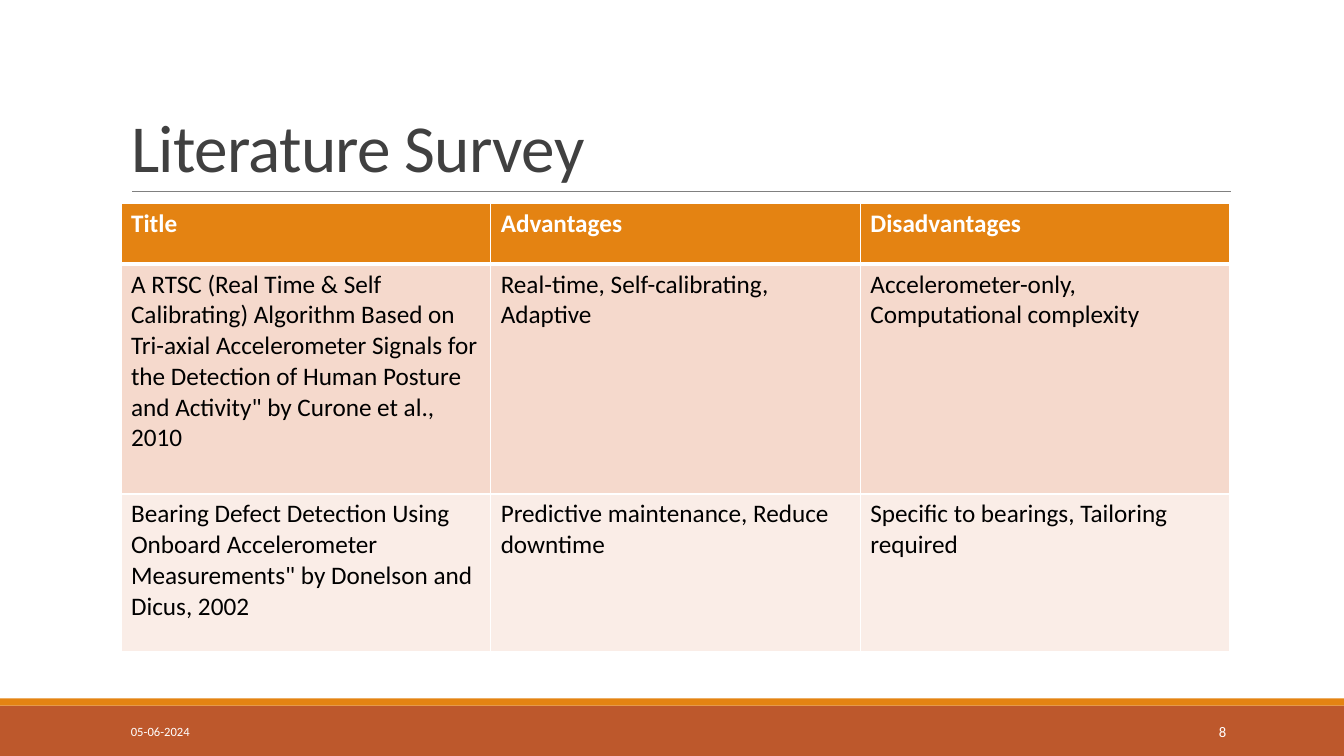
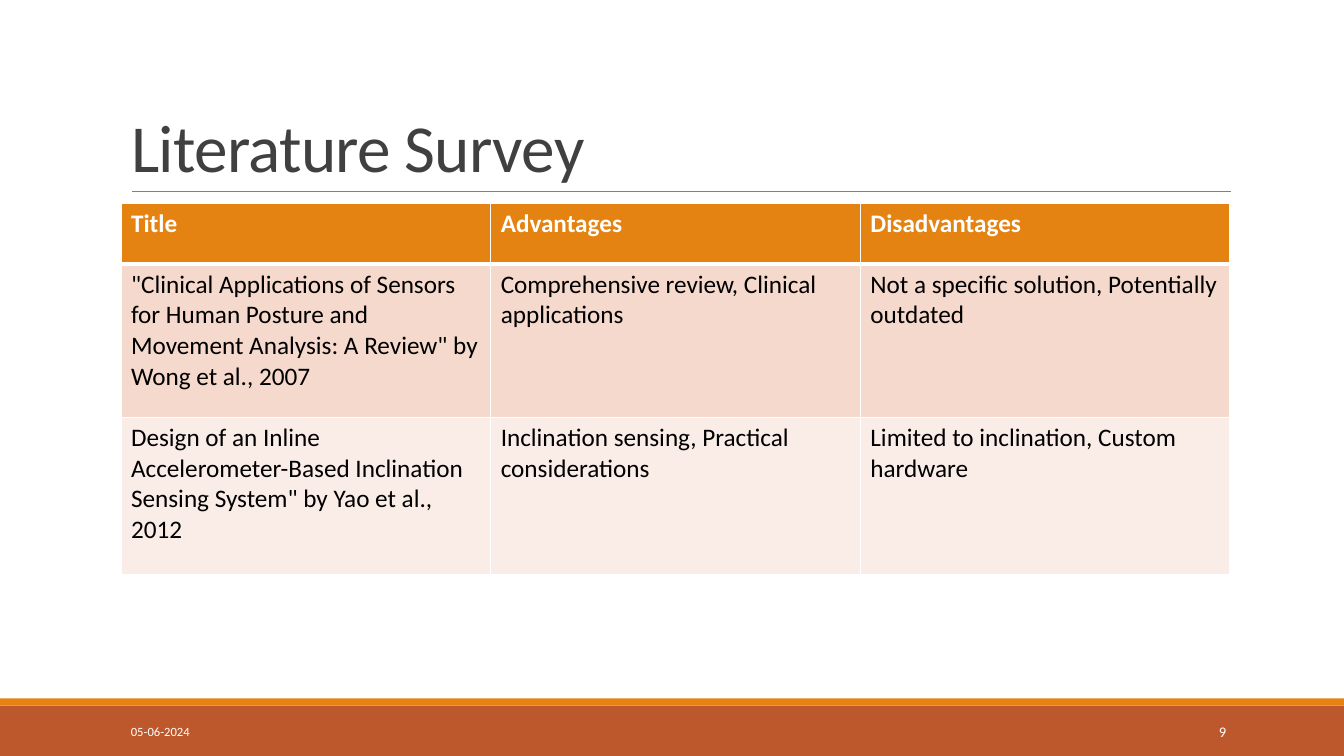
from dataclasses import dataclass

from lxml.etree import SubElement
from pptx import Presentation
from pptx.dml.color import RGBColor
from pptx.enum.shapes import MSO_CONNECTOR, MSO_SHAPE
from pptx.enum.text import MSO_ANCHOR, MSO_AUTO_SIZE, PP_ALIGN
from pptx.oxml.ns import qn
from pptx.slide import Slide
from pptx.table import _Cell
from pptx.text.text import TextFrame
from pptx.util import Inches, Pt


@dataclass(frozen=True)
class Theme:
    font: str = "Calibri"
    white: str = "FFFFFF"
    black: str = "000000"
    title_color: str = "404040"
    rule_color: str = "808080"
    footer_color: str = "BD582C"
    accent: str = "E48312"
    row_fills: tuple[str, ...] = ("F5D9CC", "FAEDE7")
    title_size: float = 48
    table_size: float = 18
    date_size: float = 9
    number_size: float = 10.5
    thin_border: float = 1
    header_border: float = 3


@dataclass(frozen=True)
class Box:
    left: float
    top: float
    width: float
    height: float

    def lengths(self) -> tuple[int, int, int, int]:
        return (Inches(self.left), Inches(self.top),
                Inches(self.width), Inches(self.height))


@dataclass(frozen=True)
class Paper:
    title: str
    advantages: str
    disadvantages: str
    row_height: float

    def texts(self) -> tuple[str, str, str]:
        return self.title, self.advantages, self.disadvantages


@dataclass(frozen=True)
class SurveySlide:
    number: int
    papers: tuple[Paper, ...]


THEME = Theme()
SLIDE_WIDTH, SLIDE_HEIGHT = 13.33, 7.5
MARGIN, CONTENT_WIDTH = 1.2, 11
TITLE_ONLY_LAYOUT = 5
FOOTER_HEIGHT, STRIPE_HEIGHT = 0.5, 0.07
FOOTER_TOP = SLIDE_HEIGHT - FOOTER_HEIGHT

TITLE_BOX = Box(MARGIN, 0.31, CONTENT_WIDTH, 1.59)
RULE_LEFT, RULE_RIGHT, RULE_TOP = 1.31, 12.21, 1.9
DATE_BOX = Box(MARGIN, 7.06, 2.7, 0.4)
NUMBER_BOX = Box(10.83, 7.06, 1.43, 0.4)
TABLE_TOP, HEADER_HEIGHT = 2.02, 0.6

SURVEY_TITLE = "Literature Survey"
SURVEY_DATE = "05-06-2024"
HEADERS = ("Title", "Advantages", "Disadvantages")
SURVEY_SLIDES = (
    SurveySlide(8, (
        Paper("A RTSC (Real Time & Self Calibrating) Algorithm Based on "
              "Tri-axial Accelerometer Signals for the Detection of Human "
              'Posture and Activity" by Curone et al., 2010',
              "Real-time, Self-calibrating, Adaptive",
              "Accelerometer-only, Computational complexity", 2.28),
        Paper("Bearing Defect Detection Using Onboard Accelerometer "
              'Measurements" by Donelson and Dicus, 2002',
              "Predictive maintenance, Reduce downtime",
              "Specific to bearings, Tailoring required", 1.56),
    )),
    SurveySlide(9, (
        Paper('"Clinical Applications of Sensors for Human Posture and '
              'Movement Analysis: A Review" by Wong et al., 2007',
              "Comprehensive review, Clinical applications",
              "Not a specific solution, Potentially outdated", 1.52),
        Paper("Design of an Inline Accelerometer-Based Inclination Sensing "
              'System" by Yao et al., 2012',
              "Inclination sensing, Practical considerations",
              "Limited to inclination, Custom hardware", 1.56),
    )),
)


def color(value: str) -> RGBColor:
    return RGBColor.from_string(value)


def write_text(frame: TextFrame, text: str, *, size: float, text_color: str,
               bold: bool = False, align: PP_ALIGN = PP_ALIGN.LEFT,
               line_spacing: float | None = None,
               letter_spacing: float | None = None) -> None:
    paragraph = frame.paragraphs[0]
    paragraph.alignment = align
    if line_spacing is not None:
        paragraph.line_spacing = line_spacing
    run = paragraph.add_run()
    run.text = text
    run.font.name = THEME.font
    run.font.size = Pt(size)
    run.font.bold = bold
    run.font.color.rgb = color(text_color)
    if letter_spacing is not None:
        run.font._element.set("spc", str(round(letter_spacing * 100)))


def add_band(slide: Slide, top: float, height: float, fill: str) -> None:
    box = Box(0, top, SLIDE_WIDTH, height)
    band = slide.shapes.add_shape(MSO_SHAPE.RECTANGLE, *box.lengths())
    band.shadow.inherit = False
    band.fill.solid()
    band.fill.fore_color.rgb = color(fill)
    band.line.fill.background()


def add_title_rule(slide: Slide) -> None:
    rule = slide.shapes.add_connector(
        MSO_CONNECTOR.STRAIGHT, Inches(RULE_LEFT), Inches(RULE_TOP),
        Inches(RULE_RIGHT), Inches(RULE_TOP))
    rule.line.color.rgb = color(THEME.rule_color)
    rule.line.width = Pt(0.5)
    SubElement(rule._element.spPr, qn("a:effectLst"))


def format_title(slide: Slide, text: str) -> None:
    title = slide.shapes.title
    title.left, title.top, title.width, title.height = TITLE_BOX.lengths()
    frame = title.text_frame
    frame.auto_size = MSO_AUTO_SIZE.NONE
    frame.word_wrap = True
    frame.vertical_anchor = MSO_ANCHOR.BOTTOM
    write_text(frame, text, size=THEME.title_size,
               text_color=THEME.title_color,
               line_spacing=0.85, letter_spacing=-0.5)


def add_footer_text(slide: Slide, box: Box, text: str, size: float,
                    align: PP_ALIGN = PP_ALIGN.LEFT) -> None:
    frame = slide.shapes.add_textbox(*box.lengths()).text_frame
    frame.word_wrap = True
    frame.vertical_anchor = MSO_ANCHOR.MIDDLE
    write_text(frame, text, size=size, text_color=THEME.white, align=align)


def add_borders(cell: _Cell, top: float, bottom: float) -> None:
    properties = cell._tc.get_or_add_tcPr()
    widths = {"a:lnL": THEME.thin_border, "a:lnR": THEME.thin_border,
              "a:lnT": top, "a:lnB": bottom}
    for tag, width in widths.items():
        line = SubElement(properties, qn(tag), w=str(Pt(width)))
        fill = SubElement(line, qn("a:solidFill"))
        SubElement(fill, qn("a:srgbClr"), val=THEME.white)


def format_cell(cell: _Cell, text: str, row: int) -> None:
    """Style a cell by its row: row 0 is the header, the others alternate."""
    is_header = row == 0
    add_borders(
        cell,
        top=THEME.header_border if row == 1 else THEME.thin_border,
        bottom=THEME.header_border if is_header else THEME.thin_border)
    row_fill = THEME.row_fills[(row - 1) % len(THEME.row_fills)]
    cell.fill.solid()
    cell.fill.fore_color.rgb = color(THEME.accent if is_header else row_fill)
    write_text(cell.text_frame, text, size=THEME.table_size, bold=is_header,
               text_color=THEME.white if is_header else THEME.black)


def add_survey_table(slide: Slide, papers: tuple[Paper, ...]) -> None:
    heights = [HEADER_HEIGHT, *(paper.row_height for paper in papers)]
    rows = [HEADERS, *(paper.texts() for paper in papers)]
    box = Box(MARGIN, TABLE_TOP, CONTENT_WIDTH, sum(heights))
    table = slide.shapes.add_table(
        len(rows), len(HEADERS), *box.lengths()).table
    for column in table.columns:
        column.width = Inches(CONTENT_WIDTH / len(HEADERS))
    for row, (height, texts) in enumerate(zip(heights, rows)):
        table.rows[row].height = Inches(height)
        for column, text in enumerate(texts):
            format_cell(table.cell(row, column), text, row)


def add_survey_slide(presentation: Presentation, survey: SurveySlide) -> None:
    layout = presentation.slide_layouts[TITLE_ONLY_LAYOUT]
    slide = presentation.slides.add_slide(layout)
    add_band(slide, FOOTER_TOP, FOOTER_HEIGHT, THEME.footer_color)
    add_band(slide, FOOTER_TOP - STRIPE_HEIGHT, STRIPE_HEIGHT, THEME.accent)
    add_title_rule(slide)
    format_title(slide, SURVEY_TITLE)
    add_survey_table(slide, survey.papers)
    add_footer_text(slide, DATE_BOX, SURVEY_DATE, THEME.date_size)
    add_footer_text(slide, NUMBER_BOX, str(survey.number),
                    THEME.number_size, PP_ALIGN.RIGHT)


def main() -> None:
    presentation = Presentation()
    presentation.slide_width = Inches(SLIDE_WIDTH)
    presentation.slide_height = Inches(SLIDE_HEIGHT)
    for survey in SURVEY_SLIDES:
        add_survey_slide(presentation, survey)
    presentation.save("out.pptx")


if __name__ == "__main__":
    main()
